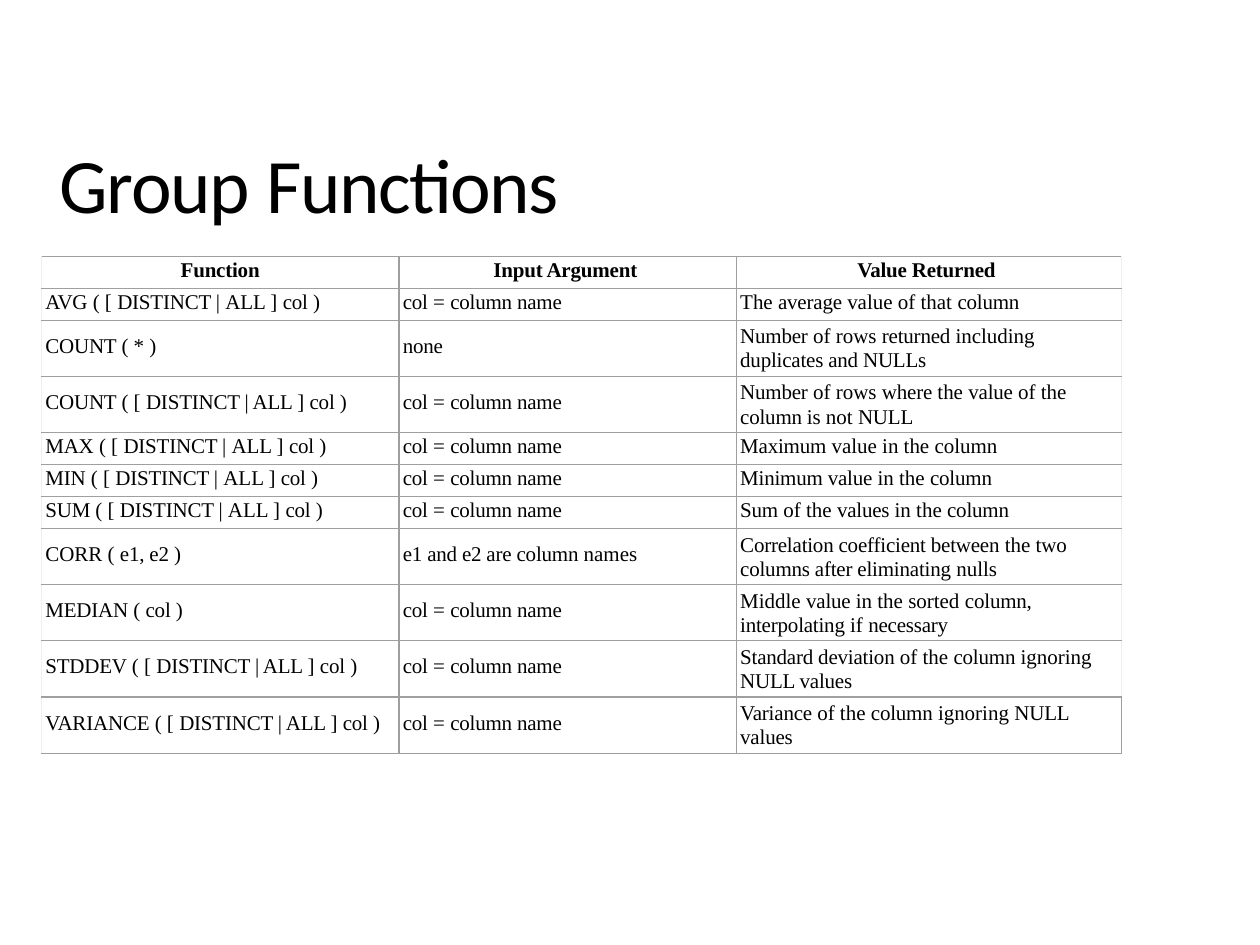
from dataclasses import dataclass

from lxml.etree import SubElement
from pptx import Presentation
from pptx.dml.color import RGBColor
from pptx.enum.text import MSO_ANCHOR, MSO_AUTO_SIZE, PP_ALIGN
from pptx.oxml.ns import qn
from pptx.util import Pt


@dataclass(frozen=True)
class Theme:
    text: str = "000000"
    border: str = "9F9F9F"
    outer_border: str = "EFEFEF"
    title_font: str = "Calibri"
    table_font: str = "Times New Roman"
    title_size: float = 44
    table_size: float = 12


theme = Theme()


def add_run(p, text, font, size, spacing, bold=False):
    r = p.add_run()
    r.text = text
    r.font.name = font
    r.font.size = Pt(size)
    r.font.bold = bold
    r.font.color.rgb = RGBColor.from_string(theme.text)
    r._r.get_or_add_rPr().set("spc", str(spacing))


def add_border(cell, side, color):
    ln = SubElement(cell._tc.get_or_add_tcPr(), qn(f"a:ln{side}"), w=str(Pt(0.75)))
    fill = SubElement(ln, qn("a:solidFill"))
    SubElement(fill, qn("a:srgbClr"), val=color)


# Slide
prs = Presentation()
prs.slide_width, prs.slide_height = Pt(720), Pt(540)
s = prs.slides.add_slide(prs.slide_layouts[5])

# Title
title = s.shapes.title
title.left, title.top, title.width, title.height = Pt(25.2), Pt(76.3), Pt(303.1), Pt(54.7)
tf = title.text_frame
tf.margin_left = tf.margin_right = tf.margin_bottom = 0
tf.margin_top = Pt(1)
tf.vertical_anchor = MSO_ANCHOR.MIDDLE
tf.auto_size = MSO_AUTO_SIZE.SHAPE_TO_FIT_TEXT
p = tf.paragraphs[0]
p.alignment = PP_ALIGN.CENTER
p.space_before = Pt(1.1)
for text, spacing in [("Group ", -70), ("Functions", -80)]:
    add_run(p, text, theme.title_font, theme.title_size, spacing)

# Table wording: "/" switches between tight and normal letter spacing, tight first
ARGS = "( [ /DISTINCT | /ALL ] /col /)"
ARGS_WIDE = "( [ /DISTINCT | ALL /] /col /)"
COLUMN = "col /= /column name"
rows = [
    ("Function", "Input Argument", "Value Returned"),
    (f"AVG /{ARGS}", COLUMN, "/The /average /value of that /column"),
    ("COUNT /( * )", "none",
     "Number /of rows /returned /including  /duplicates and NULLs"),
    (f"COUNT /{ARGS_WIDE}", COLUMN,
     "Number /of rows /where /the /value /of the  /column is /not /NULL"),
    (f"MAX /{ARGS}", COLUMN, "Maximum /value in the column"),
    (f"MIN /{ARGS}", COLUMN, "Minimum value /in the /column"),
    (f"SUM /{ARGS}", COLUMN, "Sum /of the /values /in the /column"),
    ("/CORR ( /e1, e2 /)", "e1 and e2 are column /names",
     "Correlation coefficient between /the /two  columns after eliminating /nulls"),
    ("MEDIAN /( /col /)", COLUMN,
     "/Middle /value /in the sorted /column,  interpolating /if /necessary"),
    (f"STDDEV /{ARGS_WIDE}", COLUMN,
     "Standard deviation /of the /column /ignoring  /NULL values"),
    (f"VARIANCE /{ARGS_WIDE}", COLUMN,
     "Variance /of the /column /ignoring /NULL  values"),
]
tall_rows = {2, 3, 7, 8, 9, 10}
col_widths = [204.3, 192.8, 220.2]
header_indents = [0, 54, 69.1]
row_heights = [32.1 if i in tall_rows else 18.3 for i in range(len(rows))]
last_row, last_col = len(rows) - 1, len(col_widths) - 1

# Table grid
table = s.shapes.add_table(len(rows), len(col_widths), Pt(23.7), Pt(146.4),
                           Pt(sum(col_widths)), Pt(sum(row_heights))).table
table.first_row = table.horz_banding = False
for column, width in zip(table.columns, col_widths):
    column.width = Pt(width)
for row, height in zip(table.rows, row_heights):
    row.height = Pt(height)

# Table cells
for i, texts in enumerate(rows):
    for j, text in enumerate(texts):
        cell = table.cell(i, j)
        header, two_lines = i == 0, i in tall_rows and j == last_col
        gap = 2.3 if two_lines else 8.2 if i in tall_rows else 1.4
        cell.margin_left = cell.margin_right = cell.margin_bottom = 0
        cell.margin_top = Pt(gap)
        p = cell.text_frame.paragraphs[0]
        p.space_before = Pt(gap)
        if two_lines:
            p.line_spacing = Pt(13.8)
        if header and j == 0:
            p.alignment = PP_ALIGN.CENTER
        indent = header_indents[j] if header else 2.2
        p._p.get_or_add_pPr().set("marL", str(Pt(indent)))
        for k, part in enumerate(text.split("/")):
            if part:
                add_run(p, part, theme.table_font, theme.table_size,
                        0 if k % 2 else -10, bold=header)
        light_right = j == last_col and i < last_row
        add_border(cell, "L", theme.outer_border if j == 0 else theme.border)
        add_border(cell, "R", theme.outer_border if light_right else theme.border)
        add_border(cell, "T", theme.border)
        add_border(cell, "B", theme.border)
        cell.fill.background()

prs.save("out.pptx")
